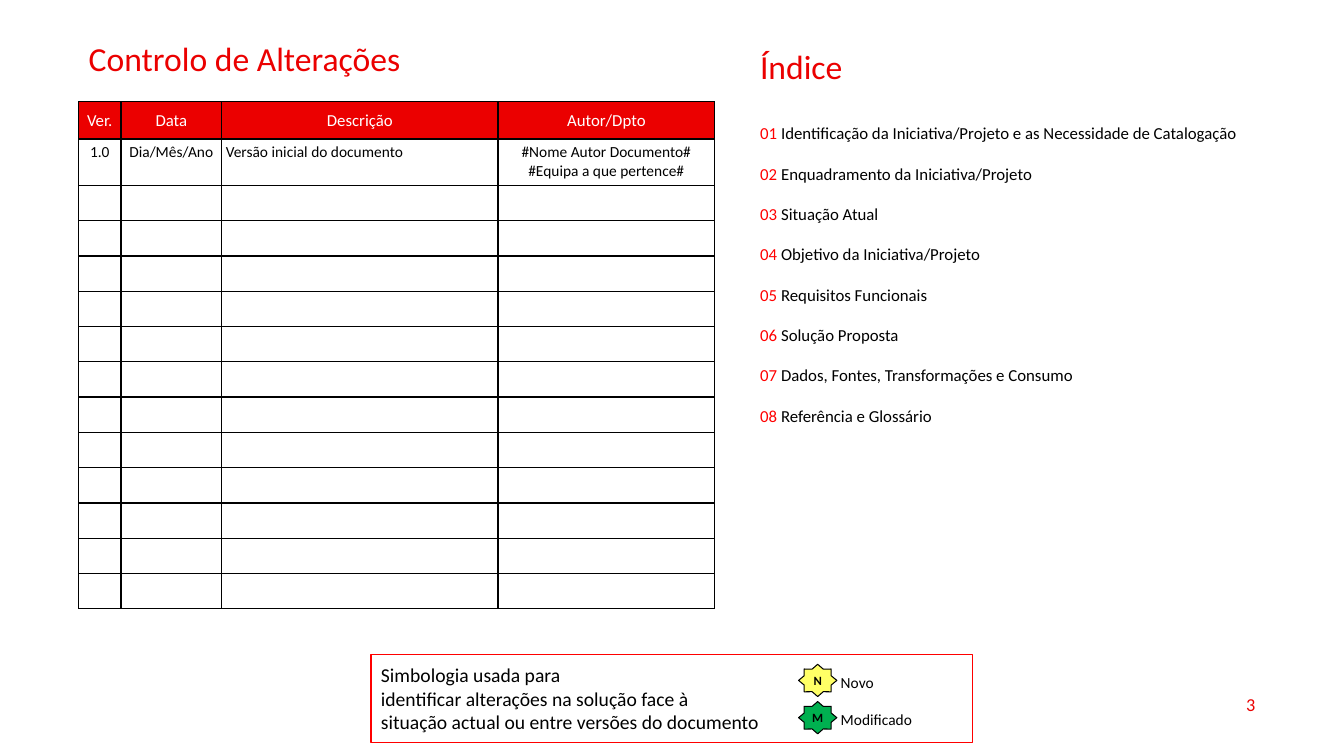
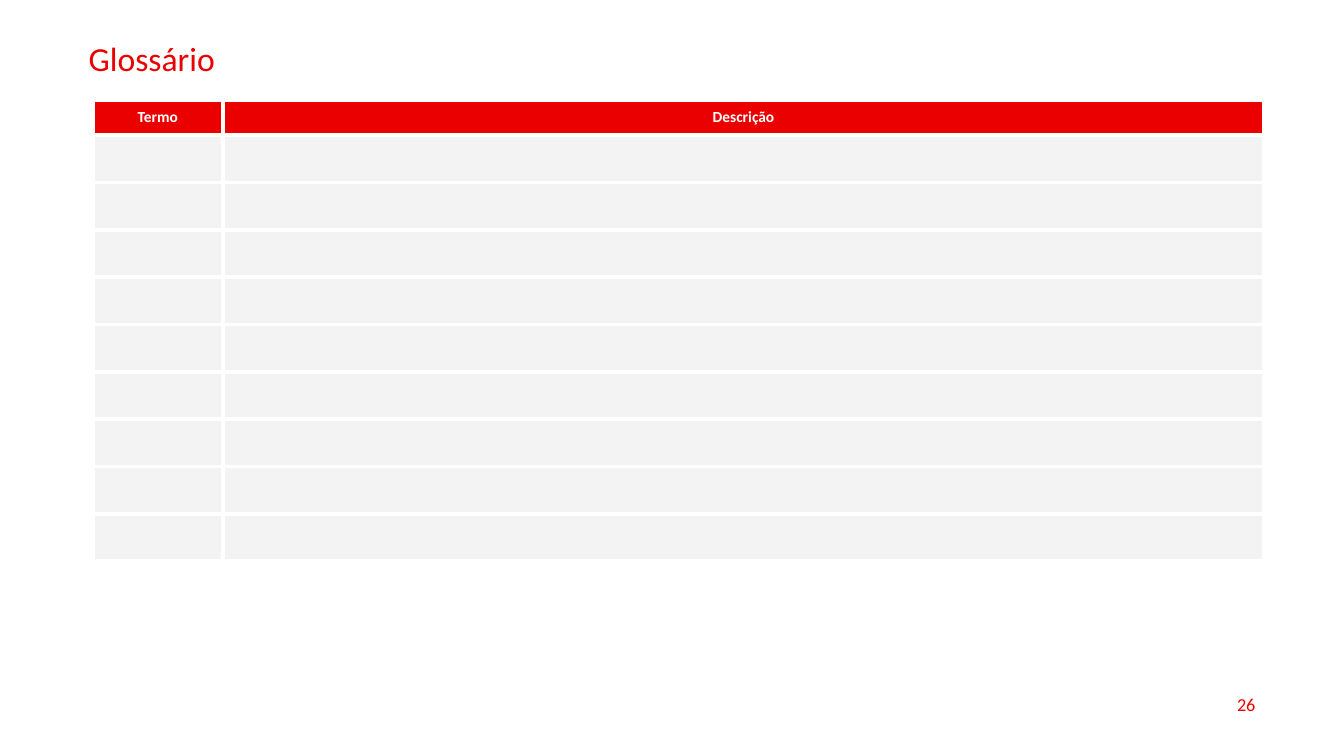
from lxml import etree
from pptx import Presentation, util as u
from pptx.dml.color import RGBColor
from pptx.enum import shapes, text
from pptx.oxml import ns

PX = 9144  # EMU in one px, 100 px to the inch
RED, BRIGHT_RED, BLACK, WHITE, GREY = "EB0000", "FF0000", "000000", "FFFFFF", "F3F3F3"
YELLOW, GREEN = "FFFF66", "00B050"
LEFT, CENTER, RIGHT = text.PP_ALIGN.LEFT, text.PP_ALIGN.CENTER, text.PP_ALIGN.RIGHT
TOP, MIDDLE = text.MSO_ANCHOR.TOP, text.MSO_ANCHOR.MIDDLE
TITLE_AND_CONTENT, TITLE_ONLY = 1, 5


def px(length):
    return u.Emu(length * PX)


def rgb(color):
    return RGBColor.from_string(color)


def place(shape, box):
    shape.left, shape.top, shape.width, shape.height = map(px, box)


def set_borders(cell, color, points):
    """Draw all four sides; call before the fill, which must follow them in the XML."""
    properties = cell._tc.get_or_add_tcPr()
    for side in ("lnL", "lnR", "lnT", "lnB"):
        line = etree.SubElement(properties, ns.qn(f"a:{side}"), w=str(u.Pt(points)))
        fill = etree.SubElement(line, ns.qn("a:solidFill"))
        etree.SubElement(fill, ns.qn("a:srgbClr"), val=color)


def set_empty_size(cell, points):
    """Keep an empty cell from growing to the default text size."""
    paragraph = cell.text_frame.paragraphs[0]
    etree.SubElement(paragraph._p, ns.qn("a:endParaRPr"), sz=str(points * 100))


class Deck:
    font = "Calibri"

    def __init__(self, width, height):
        self.presentation = Presentation()
        self.presentation.slide_width = px(width)
        self.presentation.slide_height = px(height)
        self.slide = None

    def new_slide(self, layout, title, title_box, number):
        layouts = self.presentation.slide_layouts
        self.slide = self.presentation.slides.add_slide(layouts[layout])
        self.heading(title, title_box, self.slide.shapes.title)
        self.text_box((955, 679, 300, 40), [number], 13, RED, RIGHT, MIDDLE)

    def add_text(self, frame, paragraphs, size, color, align=LEFT, bold=False, spacing=None):
        """Fill a frame; a paragraph is a string or a list of (text, color) runs."""
        for index, content in enumerate(paragraphs):
            paragraph = frame.add_paragraph() if index else frame.paragraphs[0]
            paragraph.alignment = align
            paragraph.space_before = u.Pt(0)
            if spacing:
                paragraph.line_spacing = spacing
            runs = [(content, color)] if isinstance(content, str) else content
            for words, run_color in runs:
                run = paragraph.add_run()
                run.text = words
                run.font.name = self.font
                run.font.size = u.Pt(size)
                run.font.bold = bold
                run.font.color.rgb = rgb(run_color)

    def heading(self, title, box, shape=None):
        """Put a title into a placeholder or, without one, into a new text box."""
        shape = shape or self.slide.shapes.add_textbox(0, 0, 0, 0)
        place(shape, box)
        frame = shape.text_frame
        frame.word_wrap = True
        frame.auto_size = text.MSO_AUTO_SIZE.NONE
        frame.vertical_anchor = TOP
        self.add_text(frame, [title], 24, RED, spacing=0.9)

    def text_box(self, box, paragraphs, size, color, align=LEFT, anchor=TOP):
        frame = self.slide.shapes.add_textbox(*map(px, box)).text_frame
        frame.word_wrap = True
        frame.vertical_anchor = anchor
        self.add_text(frame, paragraphs, size, color, align)

    def index(self, box, entries):
        body = self.slide.placeholders[1]
        place(body, box)
        frame = body.text_frame
        frame.auto_size = text.MSO_AUTO_SIZE.NONE
        numbered = [[(f"{number:02} ", BRIGHT_RED), (entry, BLACK)]
                    for number, entry in enumerate(entries, 1)]
        self.add_text(frame, numbered, 12, BLACK, spacing=2.0)
        for paragraph in frame.paragraphs:
            properties = paragraph._p.get_or_add_pPr()
            properties.set("marL", "0")
            properties.set("indent", "0")
            etree.SubElement(properties, ns.qn("a:buNone"))

    def shape(self, kind, box, paragraphs, size, line, fill=None, align=LEFT, bold=False):
        shape = self.slide.shapes.add_shape(kind, *map(px, box))
        shape.shadow.inherit = False
        if fill:
            shape.fill.solid()
            shape.fill.fore_color.rgb = rgb(fill)
        else:
            shape.fill.background()
        shape.line.color.rgb = rgb(line)
        shape.line.width = u.Pt(0.75)
        frame = shape.text_frame
        frame.word_wrap = False
        frame.vertical_anchor = MIDDLE
        self.add_text(frame, paragraphs, size, BLACK, align, bold)
        return shape

    def table(self, corner, columns, heights, rows, border, insets,
              header_size=12, header_bold=False, fill=None, aligns=()):
        """Draw a table with a red header; rows missing from the text stay empty."""
        box = (*corner, sum(columns), sum(heights))
        table = self.slide.shapes.add_table(len(heights), len(columns), *map(px, box)).table
        table.horz_banding = False
        for column, width in zip(table.columns, columns):
            column.width = px(width)
        for row_index, height in enumerate(heights):
            table.rows[row_index].height = px(height)
            is_header = row_index == 0
            for column_index in range(len(columns)):
                cell = table.cell(row_index, column_index)
                cell.margin_left = cell.margin_right = px(insets[0])
                cell.margin_top = cell.margin_bottom = px(insets[1])
                cell.vertical_anchor = MIDDLE if is_header else TOP
                set_borders(cell, *border)
                cell_fill = RED if is_header else fill
                if cell_fill:
                    cell.fill.solid()
                    cell.fill.fore_color.rgb = rgb(cell_fill)
                else:
                    cell.fill.background()
                if row_index >= len(rows):
                    set_empty_size(cell, 11)
                    continue
                lines = rows[row_index][column_index].split("\n")
                if is_header:
                    self.add_text(cell.text_frame, lines, header_size, WHITE, CENTER, header_bold)
                else:
                    self.add_text(cell.text_frame, lines, 11, BLACK, aligns[column_index])

    def legend(self, box, caption, symbols):
        self.shape(shapes.MSO_SHAPE.RECTANGLE, box, caption, 14, BRIGHT_RED)
        left, top = box[0] + 424, box[1] + 10
        for index, (letter, label, fill) in enumerate(symbols):
            star_top = top + 37 * index
            star = self.shape(shapes.MSO_SHAPE.STAR_8_POINT, (left, star_top, 38, 32),
                              [letter], 9, BLACK, fill, CENTER, True)
            star.adjustments[0] = 0.38
            self.text_box((left + 32, star_top + 4, 109, 29), [label], 11, BLACK)


def main():
    deck = Deck(1333, 750)

    deck.new_slide(TITLE_AND_CONTENT, "Controlo de Alterações", (78, 37, 630, 33), "3")
    deck.table(
        (78, 101), (42, 100, 274, 215), [37, 46] + [35] * 12,
        [("Ver.", "Data", "Descrição", "Autor/Dpto"),
         ("1.0", "Dia/Mês/Ano", "Versão inicial do documento",
          "#Nome Autor Documento#\n#Equipa a que pertence#")],
        border=(BLACK, 1), insets=(4, 4), aligns=(CENTER, CENTER, LEFT, CENTER))
    deck.legend(
        (368, 649, 597, 88),
        ["Simbologia usada para",
         "identificar alterações na solução face à",
         "situação actual ou entre versões do documento"],
        [("N", "Novo", YELLOW), ("M", "Modificado", GREEN)])
    deck.heading("Índice", (744, 45, 537, 33))
    deck.index(
        (744, 97, 513, 327),
        ["Identificação da Iniciativa/Projeto e as Necessidade de Catalogação",
         "Enquadramento da Iniciativa/Projeto",
         "Situação Atual",
         "Objetivo da Iniciativa/Projeto",
         "Requisitos Funcionais",
         "Solução Proposta",
         "Dados, Fontes, Transformações e Consumo",
         "Referência e Glossário"])

    deck.new_slide(TITLE_ONLY, "Glossário", (78, 37, 1177, 33), "26")
    deck.table(
        (92, 99), (129, 1033), [35] + [47] * 9, [("Termo", "Descrição")],
        border=(WHITE, 3), insets=(6, 0), header_size=11, header_bold=True, fill=GREY)

    deck.presentation.save("out.pptx")


if __name__ == "__main__":
    main()
